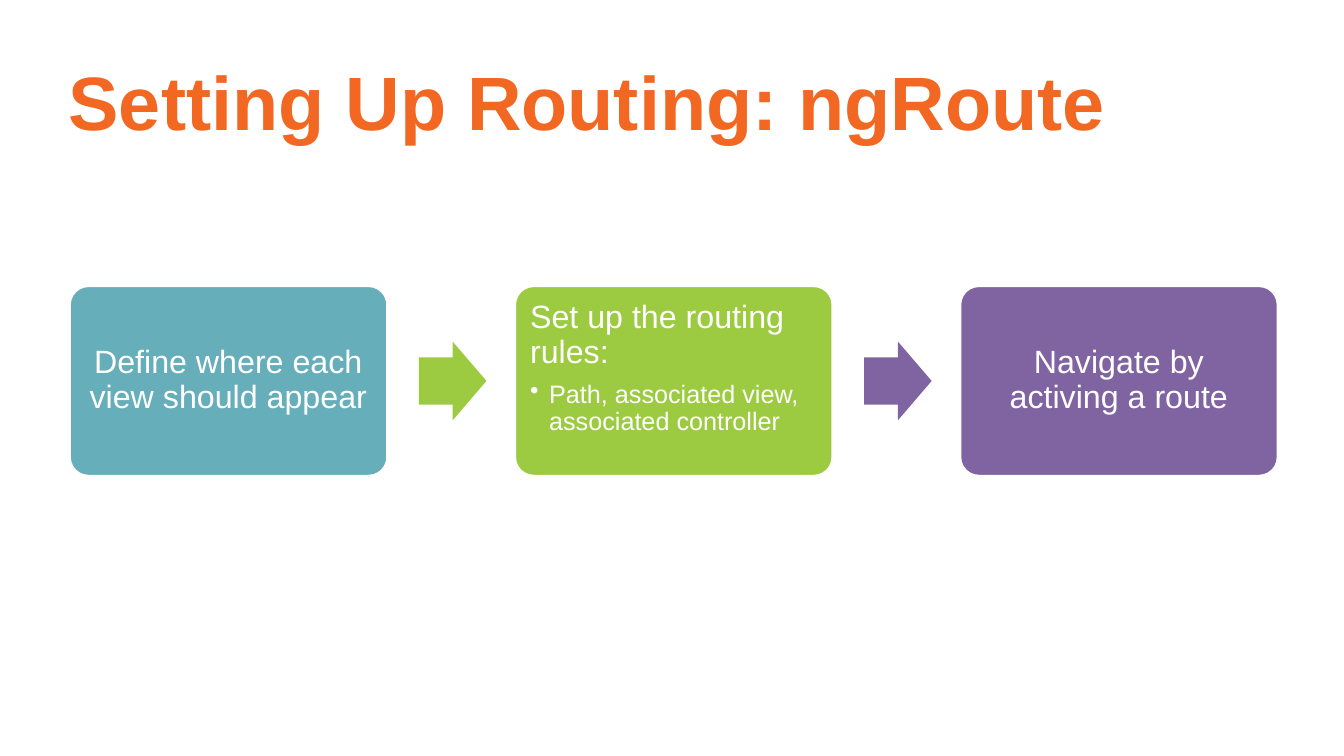
from dataclasses import dataclass

from lxml.etree import SubElement
from pptx import Presentation
from pptx.dml.color import RGBColor
from pptx.enum.shapes import MSO_SHAPE
from pptx.enum.text import MSO_ANCHOR, MSO_AUTO_SIZE, PP_ALIGN
from pptx.oxml.ns import qn
from pptx.shapes.autoshape import Shape
from pptx.slide import Slide
from pptx.text.text import TextFrame
from pptx.util import Cm, Pt


@dataclass(frozen=True)
class Theme:
    font: str = "Arial"
    orange: RGBColor = RGBColor(0xF2, 0x67, 0x22)
    teal: RGBColor = RGBColor(0x66, 0xAE, 0xBA)
    green: RGBColor = RGBColor(0x9C, 0xCB, 0x42)
    purple: RGBColor = RGBColor(0x80, 0x64, 0xA2)
    white: RGBColor = RGBColor(0xFF, 0xFF, 0xFF)
    title_size: Pt = Pt(54)
    step_size: Pt = Pt(23)
    detail_size: Pt = Pt(18)


@dataclass(frozen=True)
class Step:
    text: str
    color: RGBColor
    details: tuple[str, ...] = ()


THEME = Theme()
STEPS = (
    Step("Define where each view should appear", THEME.teal),
    Step(
        "Set up the routing rules:",
        THEME.green,
        ("Path, associated view, associated controller",),
    ),
    Step("Navigate by activing a route", THEME.purple),
)

CARD_LEFT, CARD_TOP = Cm(1.75), Cm(7.2)
CARD_WIDTH, CARD_HEIGHT = Cm(8.02), Cm(4.8)
STEP_PITCH = Cm(11.22)
ARROW_WIDTH, ARROW_HEIGHT = Cm(1.7), Cm(1.98)
ARROW_GAP = Cm(0.71)
CARD_INSET = Cm(0.25)
BULLET_INDENT = Cm(0.48)


def add_title(slide: Slide, text: str) -> None:
    title = slide.shapes.title
    title.left, title.top = Cm(1.73), Cm(0.51)
    title.width, title.height = Cm(30.5), Cm(4.37)
    frame = title.text_frame
    frame.auto_size = MSO_AUTO_SIZE.NONE
    frame.word_wrap = True
    frame.vertical_anchor = MSO_ANCHOR.MIDDLE
    frame.margin_left = 0
    paragraph = frame.paragraphs[0]
    paragraph.alignment = PP_ALIGN.LEFT
    paragraph.line_spacing = 0.85
    run = paragraph.add_run()
    run.text = text
    run.font.name = THEME.font
    run.font.size = THEME.title_size
    run.font.bold = True
    run.font.color.rgb = THEME.orange


def add_filled_shape(
    slide: Slide, kind: MSO_SHAPE, left: int, top: int,
    width: int, height: int, color: RGBColor,
) -> Shape:
    shape = slide.shapes.add_shape(kind, left, top, width, height)
    shape.shadow.inherit = False
    shape.fill.solid()
    shape.fill.fore_color.rgb = color
    shape.line.fill.background()
    return shape


def add_step_text(frame: TextFrame, text: str, size: Pt, alignment: PP_ALIGN,
                  space_after: Pt, bullet: bool = False) -> None:
    paragraph = frame.add_paragraph() if bullet else frame.paragraphs[0]
    paragraph.alignment = alignment
    paragraph.line_spacing = 0.9
    paragraph.space_after = space_after
    if bullet:
        paragraph.level = 1
        properties = paragraph._p.get_or_add_pPr()
        properties.set("marL", str(BULLET_INDENT))
        properties.set("indent", str(-BULLET_INDENT))
        SubElement(properties, qn("a:buChar")).set("char", "•")
    run = paragraph.add_run()
    run.text = text
    run.font.name = THEME.font
    run.font.size = size
    run.font.color.rgb = THEME.white


def add_card(slide: Slide, step: Step, left: int) -> None:
    card = add_filled_shape(slide, MSO_SHAPE.ROUNDED_RECTANGLE, left, CARD_TOP,
                            CARD_WIDTH, CARD_HEIGHT, step.color)
    card.adjustments[0] = 0.1
    card.line.color.rgb = THEME.white
    card.line.width = Pt(2)
    frame = card.text_frame
    frame.word_wrap = True
    frame.margin_left = frame.margin_right = CARD_INSET
    frame.margin_top = frame.margin_bottom = CARD_INSET
    frame.vertical_anchor = MSO_ANCHOR.TOP if step.details else MSO_ANCHOR.MIDDLE
    alignment = PP_ALIGN.LEFT if step.details else PP_ALIGN.CENTER
    add_step_text(frame, step.text, THEME.step_size, alignment, Pt(8))
    for detail in step.details:
        add_step_text(frame, detail, THEME.detail_size, alignment, Pt(3), bullet=True)


def add_arrow(slide: Slide, color: RGBColor, next_card_left: int) -> None:
    left = next_card_left - ARROW_GAP - ARROW_WIDTH
    top = CARD_TOP + (CARD_HEIGHT - ARROW_HEIGHT) // 2
    arrow = add_filled_shape(slide, MSO_SHAPE.RIGHT_ARROW, left, top,
                             ARROW_WIDTH, ARROW_HEIGHT, color)
    arrow.adjustments[0] = 0.6
    arrow.adjustments[1] = 0.5


def main() -> None:
    presentation = Presentation()
    presentation.slide_width = Cm(33.87)
    presentation.slide_height = Cm(19.05)
    slide = presentation.slides.add_slide(presentation.slide_layouts[5])
    add_title(slide, "Setting Up Routing: ngRoute")
    for index, step in enumerate(STEPS):
        left = CARD_LEFT + index * STEP_PITCH
        if index:
            add_arrow(slide, step.color, left)
        add_card(slide, step, left)
    presentation.save("out.pptx")


if __name__ == "__main__":
    main()
